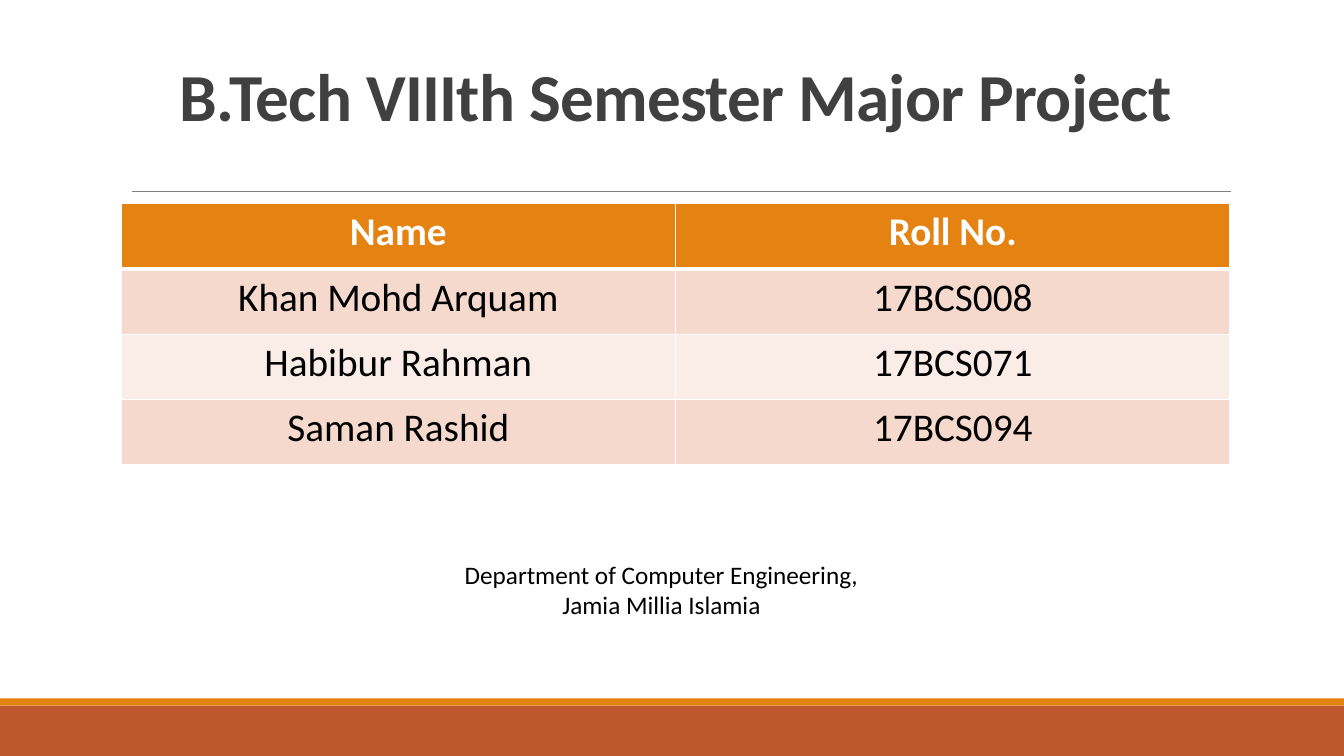
from lxml.etree import SubElement
from pptx import Presentation
from pptx.dml.color import RGBColor
from pptx.enum.shapes import MSO_CONNECTOR, MSO_SHAPE
from pptx.enum.text import MSO_ANCHOR, PP_ALIGN
from pptx.oxml import parse_xml
from pptx.oxml.ns import nsdecls, qn
from pptx.util import Inches, Pt

WHITE = RGBColor(0xFF, 0xFF, 0xFF)
BLACK = RGBColor(0, 0, 0)
CHARCOAL = RGBColor(0x40, 0x40, 0x40)
GREY = RGBColor(0x80, 0x80, 0x80)
ORANGE = RGBColor(0xE4, 0x83, 0x12)
RUST = RGBColor(0xBD, 0x58, 0x2C)
ROSE = RGBColor(0xF5, 0xD9, 0xCC)
BLUSH = RGBColor(0xFA, 0xED, 0xE7)

FONT = "Calibri"
PAGE_WIDTH, PAGE_HEIGHT = 13.33, 7.5
MARGIN, CONTENT_WIDTH = 1.2, 11

STUDENTS = [
    ("Name", "Roll No."),
    ("Khan Mohd Arquam", "17BCS008"),
    ("Habibur Rahman", "17BCS071"),
    ("Saman Rashid", "17BCS094"),
]


def write_centred(frame, lines, size, color, bold=False):
    frame.text = "\n".join(lines)
    frame.word_wrap = True
    for para in frame.paragraphs:
        para.alignment = PP_ALIGN.CENTER
        for span in para.runs:
            span.font.name = FONT
            span.font.size = Pt(size)
            span.font.bold = bold
            span.font.color.rgb = color


def add_band(page, box, color):
    band = page.shapes.add_shape(MSO_SHAPE.RECTANGLE, *map(Inches, box))
    band.shadow.inherit = False
    band.fill.solid()
    band.fill.fore_color.rgb = color
    band.line.fill.background()


def add_footer(page, box):
    left, top, width, height = box
    stripe = 0.07
    add_band(page, (left, top + stripe, width, height - stripe), RUST)
    add_band(page, (left, top, width, stripe), ORANGE)


def add_title(page, box):
    left, top, width, height = box
    title = page.shapes.add_textbox(*map(Inches, box))
    frame = title.text_frame
    write_centred(frame, ["B.Tech VIIIth Semester Major Project"], 48, CHARCOAL, True)
    frame.vertical_anchor = MSO_ANCHOR.BOTTOM
    para = frame.paragraphs[0]
    para.line_spacing = 0.85
    para.runs[0].font._element.set("spc", "-50")

    rule_top = Inches(top + height + 0.51)
    rule = page.shapes.add_connector(
        MSO_CONNECTOR.STRAIGHT,
        Inches(left + 0.11), rule_top, Inches(left + width + 0.01), rule_top)
    rule.line.color.rgb = GREY
    rule.line.width = Pt(0.5)
    SubElement(rule._element.spPr, qn("a:effectLst"))


def set_borders(cell, widths):
    properties = cell._tc.get_or_add_tcPr()
    for index, (side, width) in enumerate(widths.items()):
        border = parse_xml(
            f'<a:ln{side} {nsdecls("a")} w="{Pt(width)}"><a:solidFill>'
            f'<a:srgbClr val="{WHITE}"/></a:solidFill></a:ln{side}>')
        properties.insert(index, border)


def add_student_table(page, box):
    rows, columns = len(STUDENTS), len(STUDENTS[0])
    table = page.shapes.add_table(rows, columns, *map(Inches, box)).table
    for row, values in enumerate(STUDENTS):
        header = row == 0
        fill = ORANGE if header else (ROSE if row % 2 else BLUSH)
        for column, value in enumerate(values):
            cell = table.cell(row, column)
            cell.fill.solid()
            cell.fill.fore_color.rgb = fill
            write_centred(cell.text_frame, [value], 28, WHITE if header else BLACK, header)
            set_borders(cell, {
                "L": 1, "R": 1,
                "T": 3 if row == 1 else 1,
                "B": 3 if header else 1,
            })


def add_department(page, box):
    department = page.shapes.add_textbox(*map(Inches, box))
    lines = ["Department of Computer Engineering,", "Jamia Millia Islamia"]
    write_centred(department.text_frame, lines, 18, BLACK)


def main():
    deck = Presentation()
    deck.slide_width = Inches(PAGE_WIDTH)
    deck.slide_height = Inches(PAGE_HEIGHT)
    page = deck.slides.add_slide(deck.slide_layouts[6])
    add_footer(page, (0, 6.93, PAGE_WIDTH, PAGE_HEIGHT - 6.93))
    add_title(page, (MARGIN, 0.31, CONTENT_WIDTH, 1.08))
    add_student_table(page, (MARGIN, 2.02, CONTENT_WIDTH, 2.59))
    add_department(page, (3, 5.5, 7.12, 0.71))
    deck.save("out.pptx")


if __name__ == "__main__":
    main()
